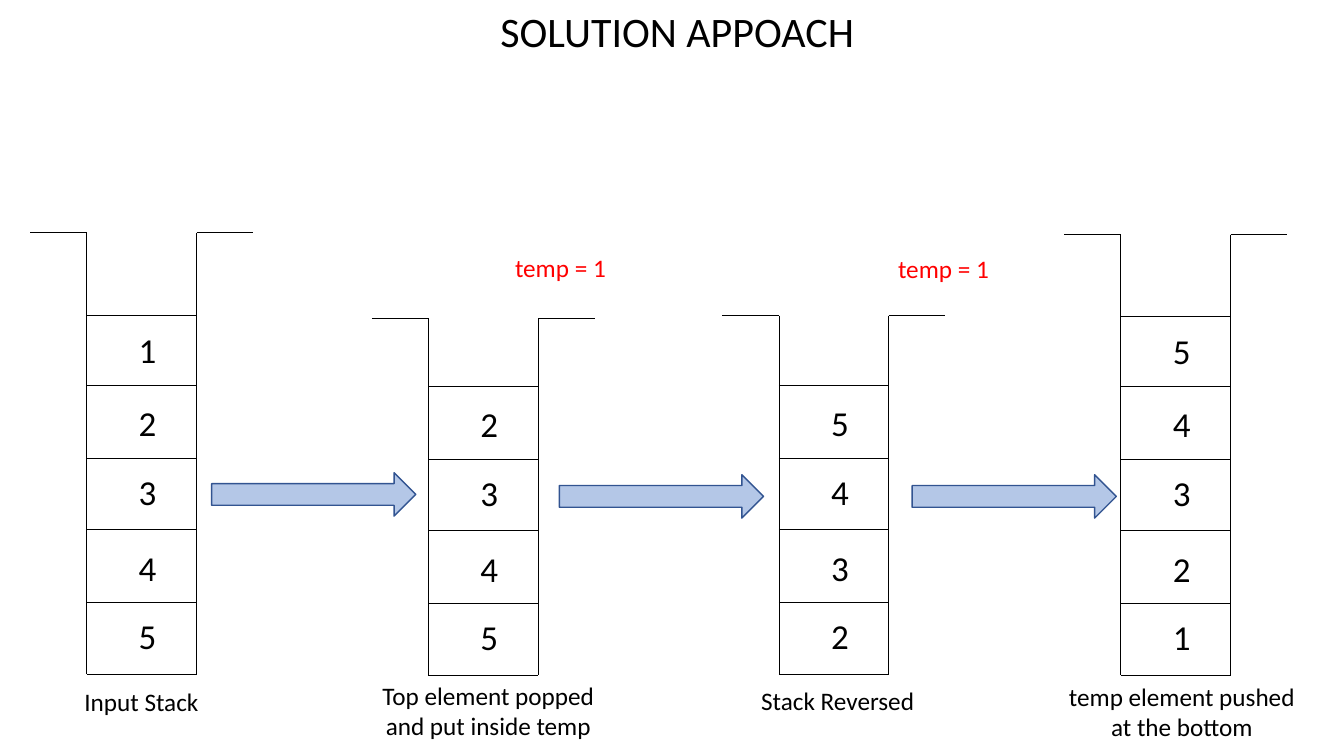
from dataclasses import dataclass

from lxml.etree import SubElement
from pptx import Presentation
from pptx.dml.color import RGBColor
from pptx.enum.shapes import MSO_CONNECTOR, MSO_SHAPE
from pptx.enum.text import MSO_ANCHOR, MSO_AUTO_SIZE, PP_ALIGN
from pptx.oxml.ns import qn
from pptx.shapes.autoshape import Shape
from pptx.slide import Slide
from pptx.util import Pt

BLACK = RGBColor(0x00, 0x00, 0x00)
RED = RGBColor(0xFF, 0x00, 0x00)
ARROW_FILL = RGBColor(0xB4, 0xC7, 0xE7)
ARROW_LINE = RGBColor(0x32, 0x54, 0x91)
FONT = "Calibri"

STACK_WIDTH = 78.5
LIP = 40.3
ROW_HEIGHTS = (51.1, 103.7, 154.1, 206.6, 256.3)
DIGIT_HEIGHTS = (46.1, 95, 149, 198.7, 250.6)


@dataclass(frozen=True)
class Box:
    """A rectangle in points."""

    left: float
    top: float
    width: float
    height: float


@dataclass(frozen=True)
class Stack:
    """A stack with its values listed from the bottom up."""

    left: float
    top: float
    bottom: float
    values: str
    caption: str
    caption_box: Box


@dataclass(frozen=True)
class Label:
    """A short note in the space above the stacks."""

    text: str
    box: Box


STACKS = (
    Stack(61.9, 166.3, 481.7, "54321", "Input Stack", Box(51.8, 486.7, 98.6, 29)),
    Stack(306, 227.2, 482.4, "5432", "Top element popped and put inside temp",
          Box(260.6, 482.4, 176.4, 51)),
    Stack(556.4, 225.4, 481.7, "2345", "Stack Reversed", Box(535.7, 486, 125.3, 29)),
    Stack(800.6, 167.6, 482.4, "12345", "temp element pushed at the bottom",
          Box(756, 483.1, 176.4, 51)),
)
ARROWS = (
    Box(151.2, 337.7, 145.8, 31),
    Box(399.6, 339.1, 145.8, 31),
    Box(651.6, 339.1, 145.8, 31),
)
LABELS = (
    Label("temp = 1", Box(358.6, 176.4, 83.5, 29)),
    Label("temp = 1", Box(632.2, 177.1, 83.5, 29)),
)


def place(sp: Shape, box: Box) -> None:
    """Move and size a shape."""
    sp.left, sp.top = Pt(box.left), Pt(box.top)
    sp.width, sp.height = Pt(box.width), Pt(box.height)


def write(sp: Shape, text: str, size: float, color: RGBColor = BLACK,
          wrap: bool = False) -> None:
    """Fill a shape with one centred paragraph."""
    tf = sp.text_frame
    tf.text = text
    tf.word_wrap = wrap
    tf.auto_size = MSO_AUTO_SIZE.SHAPE_TO_FIT_TEXT
    tf.vertical_anchor = MSO_ANCHOR.TOP
    p = tf.paragraphs[0]
    p.alignment = PP_ALIGN.CENTER
    font = p.runs[0].font
    font.name, font.size, font.color.rgb = FONT, Pt(size), color


def add_text(s: Slide, box: Box, text: str, size: float, color: RGBColor = BLACK,
             wrap: bool = False) -> None:
    """Add a text box."""
    sp = s.shapes.add_textbox(0, 0, 0, 0)
    write(sp, text, size, color, wrap)
    place(sp, box)


def add_line(s: Slide, x1: float, y1: float, x2: float, y2: float) -> None:
    """Add a thin black line."""
    line = s.shapes.add_connector(MSO_CONNECTOR.STRAIGHT, Pt(x1), Pt(y1), Pt(x2), Pt(y2))
    line.line.color.rgb = BLACK
    line.line.width = Pt(0.5)
    SubElement(line._element.spPr, qn("a:effectLst"))


def add_stack(s: Slide, stack: Stack) -> None:
    """Draw a stack with its lips, walls, rows, values and caption."""
    left, right = stack.left, stack.left + STACK_WIDTH
    top, bottom = stack.top, stack.bottom
    add_line(s, left - LIP, top, left, top)
    add_line(s, right, top, right + LIP, top)
    for x in (left, right):
        add_line(s, x, top, x, bottom)
    add_line(s, left, bottom, right, bottom)
    for value, row, digit in zip(stack.values, ROW_HEIGHTS, DIGIT_HEIGHTS):
        add_line(s, left, bottom - row, right, bottom - row)
        add_text(s, Box(left + 26.2, bottom - digit, 34.6, 37.4), value, 25)
    add_text(s, stack.caption_box, stack.caption, 18, wrap=stack.caption_box.height > 40)


def add_arrow(s: Slide, box: Box) -> None:
    """Draw a block arrow pointing to the next stack."""
    sp = s.shapes.add_shape(MSO_SHAPE.RIGHT_ARROW, 0, 0, 0, 0)
    place(sp, box)
    sp.shadow.inherit = False
    sp.fill.solid()
    sp.fill.fore_color.rgb = ARROW_FILL
    sp.line.color.rgb = ARROW_LINE
    sp.line.width = Pt(1)


def main() -> None:
    """Build and save the slide."""
    prs = Presentation()
    prs.slide_width, prs.slide_height = Pt(960), Pt(540)
    s = prs.slides.add_slide(prs.slide_layouts[5])
    write(s.shapes.title, "SOLUTION APPOACH", 30)
    place(s.shapes.title, Box(342.7, 0, 282.2, 43.9))
    for stack in STACKS:
        add_stack(s, stack)
    for box in ARROWS:
        add_arrow(s, box)
    for label in LABELS:
        add_text(s, label.box, label.text, 18, RED)
    prs.save("out.pptx")


main()
